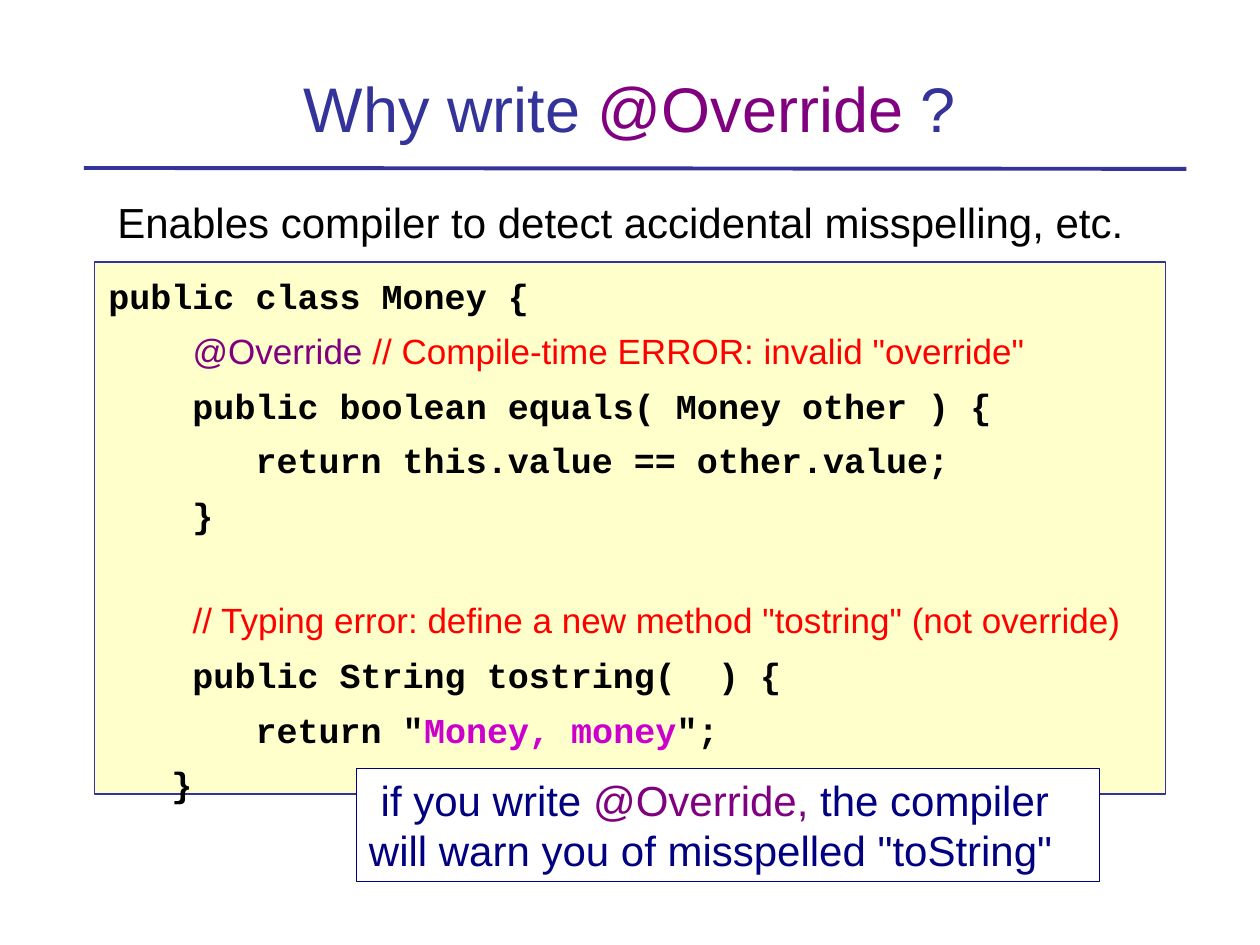
"""Build a slide on why Java methods should carry @Override."""
import dataclasses
from typing import Any

import pptx
import pptx.dml.color
import pptx.enum.shapes
import pptx.enum.text
import pptx.oxml.ns
import pptx.util
from lxml import etree

Pt = pptx.util.Pt
ANCHOR = pptx.enum.text.MSO_ANCHOR
BLUE, NAVY, PURPLE = "333399", "000080", "800080"
BLACK, RED, MAGENTA = "000000", "FF0000", "CC00CC"


@dataclasses.dataclass(frozen=True)
class Span:
    text: str
    color: str = BLACK
    size: float = 20
    font: str = "Courier New"
    bold: bool = True


@dataclasses.dataclass(frozen=True)
class Line:
    spans: list[Span]
    before: float = 7.25


@dataclasses.dataclass(frozen=True)
class Box:
    left: float
    top: float
    width: float
    height: float


def rgb(color: str) -> pptx.dml.color.RGBColor:
    return pptx.dml.color.RGBColor.from_string(color)


def prose(text: str, color: str, size: float = 24) -> Span:
    return Span(text, color, size, "Arial", False)


def place(sp: Any, box: Box) -> None:
    sp.left, sp.top = Pt(box.left), Pt(box.top)
    sp.width, sp.height = Pt(box.width), Pt(box.height)


def setup(tf: Any, anchor: Any = ANCHOR.TOP) -> None:
    tf.word_wrap = True
    tf.auto_size = pptx.enum.text.MSO_AUTO_SIZE.NONE
    tf.vertical_anchor = anchor


def write(p: Any, spans: list[Span], align: Any = pptx.enum.text.PP_ALIGN.LEFT) -> None:
    p.alignment = align
    for span in spans:
        r = p.add_run()
        r.text = span.text
        r.font.name, r.font.size, r.font.bold = span.font, Pt(span.size), span.bold
        r.font.color.rgb = rgb(span.color)


def paint(sp: Any, fill: str, line: str) -> None:
    sp.fill.solid()
    sp.fill.fore_color.rgb = rgb(fill)
    sp.line.color.rgb = rgb(line)
    sp.line.width = Pt(0.75)


def indent(p: Any, left: float, first: float) -> None:
    pPr = p._p.get_or_add_pPr()
    pPr.set("marL", str(Pt(left)))
    pPr.set("indent", str(Pt(first)))
    etree.SubElement(pPr, pptx.oxml.ns.qn("a:buNone"))


def add_rule(s: Any) -> None:
    rule = s.shapes.add_connector(
        pptx.enum.shapes.MSO_CONNECTOR.STRAIGHT, Pt(48), Pt(96), Pt(678), Pt(96.5))
    rule.line.color.rgb = rgb(BLUE)
    rule.line.width = Pt(2.25)
    etree.SubElement(rule._element.spPr, pptx.oxml.ns.qn("a:effectLst"))


def add_code(sp: Any, lines: list[Line]) -> None:
    place(sp, Box(54, 149.75, 612, 304))
    paint(sp, "FFFFCC", BLUE)
    tf = sp.text_frame
    setup(tf)
    tf.margin_top = Pt(7.25)
    for i, line in enumerate(lines):
        p = tf.add_paragraph() if i else tf.paragraphs[0]
        indent(p, 18, -17.25)
        p.space_before = Pt(line.before if i else 0)
        write(p, line.spans)


CODE = [
    Line([Span("public class Money {")]),
    Line([Span("    ", PURPLE, bold=False), prose("@Override ", PURPLE, 20),
          prose('// Compile-time ERROR: invalid "override"', RED, 20)]),
    Line([Span("    public boolean equals( Money other ) {")]),
    Line([Span("       return this.value == other.value;")]),
    Line([Span("    }")]),
    Line([Span("    ", bold=False),
          prose('// Typing error: define a new method "tostring" (not override)', RED, 20)],
         before=36),
    Line([Span("    public String tostring(  ) {")]),
    Line([Span('       return "'), Span("Money, money", MAGENTA), Span('";')]),
    Line([Span("   }")]),
]


def main() -> None:
    prs = pptx.Presentation()
    prs.slide_width, prs.slide_height = Pt(720), Pt(540)
    s = prs.slides.add_slide(prs.slide_layouts[1])
    add_rule(s)

    title = s.shapes.title
    place(title, Box(48, 18, 624, 68.4))
    setup(title.text_frame, ANCHOR.BOTTOM)
    write(title.text_frame.paragraphs[0],
          [prose("Why write ", BLUE, 36), prose("@Override", PURPLE, 36),
           prose(" ?", BLUE, 36)], pptx.enum.text.PP_ALIGN.CENTER)

    add_code(s.placeholders[1], CODE)

    intro = s.shapes.add_textbox(Pt(60), Pt(109), Pt(606), Pt(36))
    setup(intro.text_frame)
    write(intro.text_frame.paragraphs[0],
          [prose("Enables compiler to detect accidental misspelling, etc.", BLACK)])

    note = s.shapes.add_shape(
        pptx.enum.shapes.MSO_SHAPE.RECTANGLE, Pt(203.75), Pt(439), Pt(424.75), Pt(64.75))
    note.shadow.inherit = False
    paint(note, "FFFFFF", NAVY)
    setup(note.text_frame)
    p = note.text_frame.paragraphs[0]
    indent(p, 0, 6.75)
    write(p, [prose("if you write ", NAVY), prose("@Override, ", PURPLE),
              prose('the compiler will warn you of misspelled "toString"', NAVY)])
    prs.save("out.pptx")


if __name__ == "__main__":
    main()
